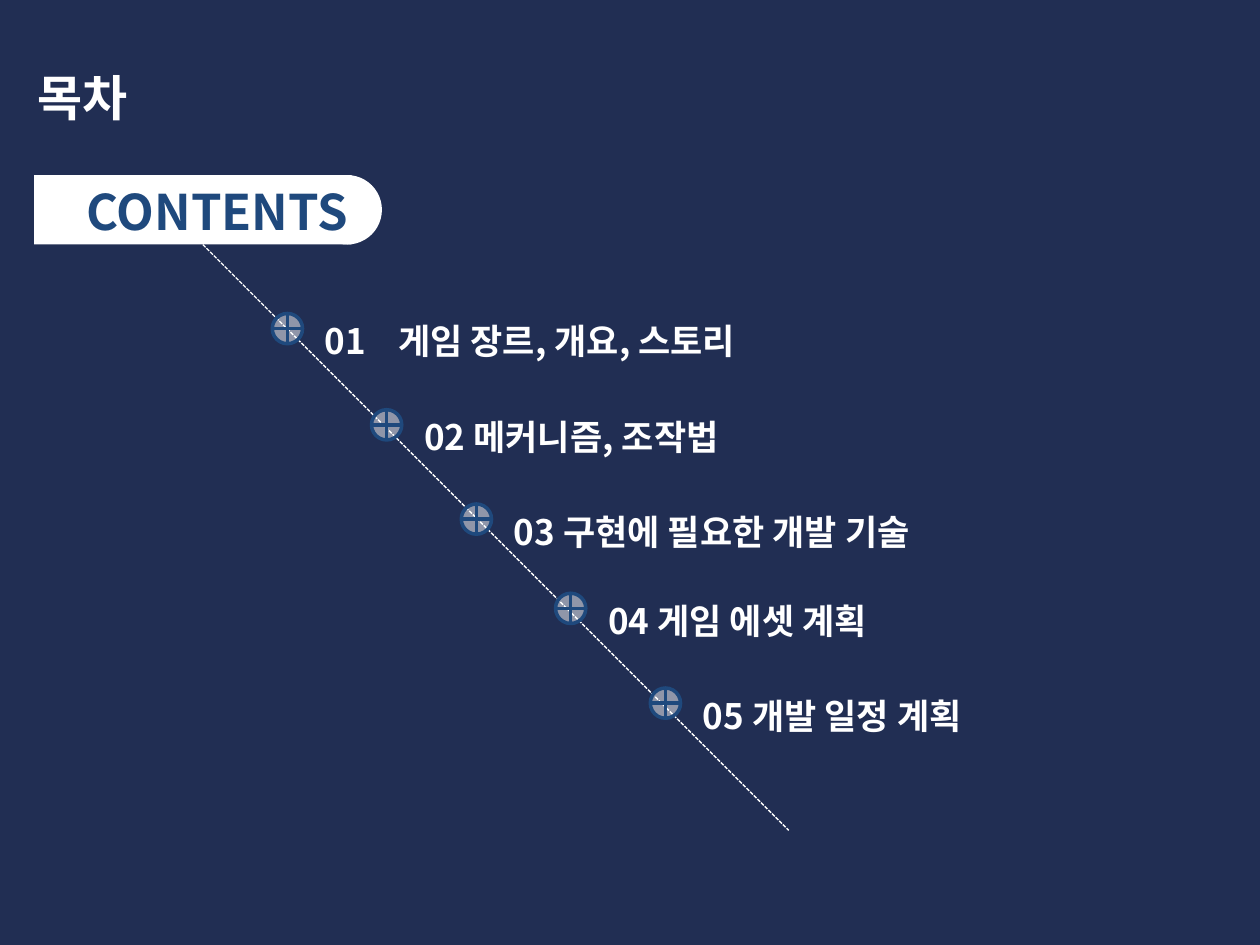
from lxml import etree
from pptx import Presentation
from pptx import util as u
from pptx.dml import color
from pptx.enum import dml, shapes, text
from pptx.oxml import ns

COLORS = {"navy": "212E53", "white": "FFFFFF", "blue": "1F497D"}
FONT = "Noto Sans CJK KR"
MARKER_SIZE = 0.61
LABEL_OFFSET = 0.81
TOPIC_TAB = 1.48

AGENDA = [
    (5.49, 6.32, "01\t게임 장르, 개요, 스토리"),
    (7.49, 8.26, "02 메커니즘, 조작법"),
    (9.30, 10.16, "03 구현에 필요한 개발 기술"),
    (11.20, 11.96, "04 게임 에셋 계획"),
    (13.11, 13.87, "05 개발 일정 계획"),
]


def rgb(name):
    return color.RGBColor.from_string(COLORS[name])


def lengths(*values):
    return [u.Cm(value) for value in values]


def add_child(parent, tag, **attributes):
    return etree.SubElement(parent, ns.qn(tag), attributes)


def add_label(slide, box, words, size, ink):
    label = slide.shapes.add_textbox(*lengths(*box))
    frame = label.text_frame
    frame.word_wrap = True
    frame.auto_size = text.MSO_AUTO_SIZE.SHAPE_TO_FIT_TEXT
    paragraph = frame.paragraphs[0]
    run = paragraph.add_run()
    run.text = words
    run.font.size = u.Pt(size)
    run.font.bold = True
    run.font.name = FONT
    run.font.color.rgb = rgb(ink)
    add_child(run.font._element, "a:ea", typeface=FONT)
    if "\t" in words:
        stops = add_child(paragraph._p.get_or_add_pPr(), "a:tabLst")
        add_child(stops, "a:tab", pos=str(int(u.Cm(TOPIC_TAB))), algn="l")


def add_solid(owner, kind, box):
    solid = owner.shapes.add_shape(kind, *lengths(*box))
    solid.shadow.inherit = False
    solid.fill.solid()
    solid.fill.fore_color.rgb = rgb("white")
    solid.line.fill.background()
    return solid


def add_banner(slide):
    banner = slide.shapes.add_group_shape()
    add_solid(banner, shapes.MSO_SHAPE.RECTANGLE, (0.69, 3.53, 6.4, 1.4))
    add_solid(banner, shapes.MSO_SHAPE.OVAL, (6.3, 3.53, 1.4, 1.4))
    add_label(slide, (1.5, 3.53, 6.4, 1.45), "CONTENTS", 28, "blue")


def add_path_line(slide):
    path_line = slide.shapes.add_connector(
        shapes.MSO_CONNECTOR.STRAIGHT, *lengths(4.09, 4.93, 15.9, 16.74))
    path_line.line.color.rgb = rgb("white")
    path_line.line.width = u.Pt(0.75)
    path_line.line.dash_style = dml.MSO_LINE.SQUARE_DOT
    add_child(path_line._element.spPr, "a:effectLst")


def add_marker(slide, left, top):
    marker = add_solid(slide, shapes.MSO_SHAPE.FLOWCHART_OR,
                       (left, top, MARKER_SIZE, MARKER_SIZE))
    tint = marker._element.spPr.find(ns.qn("a:solidFill"))[0]
    add_child(tint, "a:alpha", val="50000")
    marker.line.color.rgb = rgb("blue")
    marker.line.width = u.Pt(2)


def main():
    deck = Presentation()
    deck.slide_width, deck.slide_height = lengths(25.4, 19.05)
    slide = deck.slides.add_slide(deck.slide_layouts[6])
    slide.background.fill.solid()
    slide.background.fill.fore_color.rgb = rgb("navy")

    add_label(slide, (0.51, 1.24, 17.2, 1.45), "목차", 28, "white")
    add_banner(slide)
    add_path_line(slide)
    for left, top, topic in AGENDA:
        add_marker(slide, left, top)
        add_label(slide, (left + LABEL_OFFSET, top, 10.4, 1.12),
                  topic, 20, "white")

    deck.save("out.pptx")


if __name__ == "__main__":
    main()
